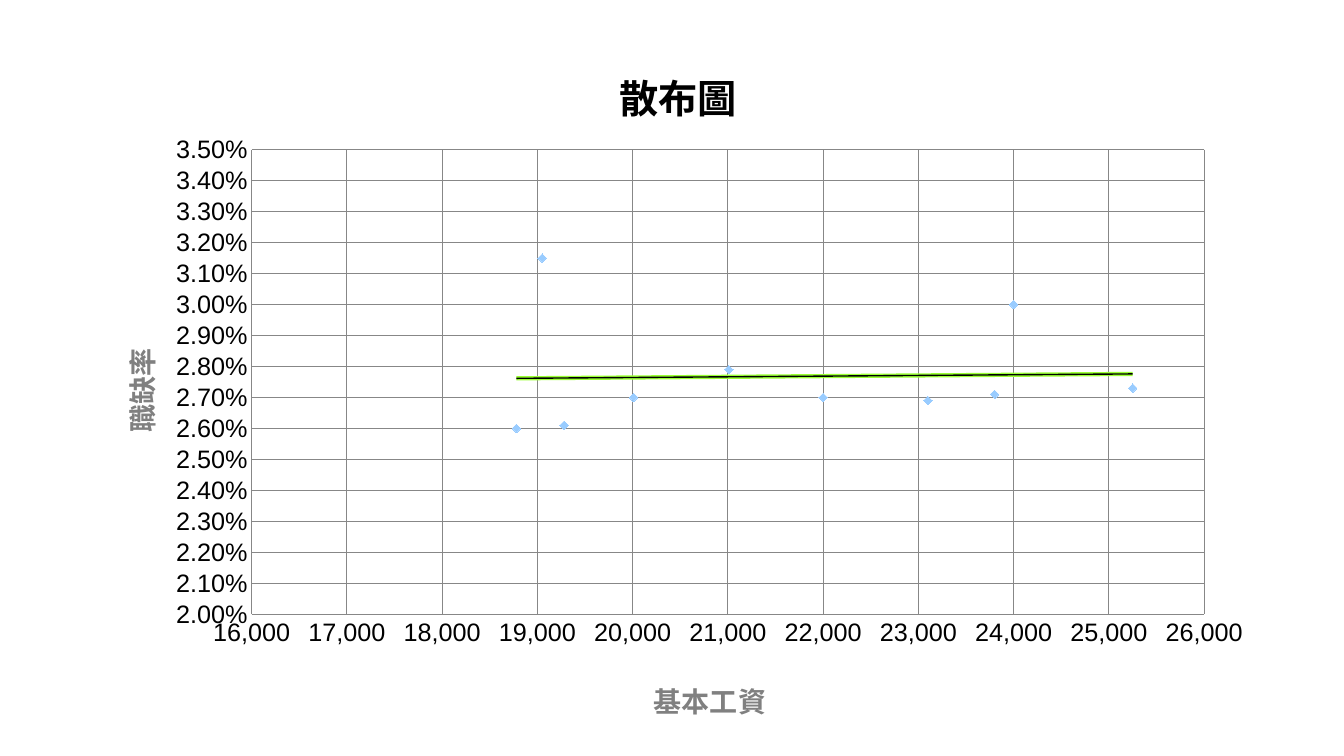
from lxml import etree
from pptx import Presentation
from pptx.chart.data import XyChartData
from pptx.dml.color import RGBColor
from pptx.enum.chart import XL_CHART_TYPE as ChartType, XL_MARKER_STYLE as Marker
from pptx.enum.chart import XL_TICK_MARK as TickMark
from pptx.enum.shapes import MSO_SHAPE as Shape
from pptx.oxml import parse_xml
from pptx.oxml.ns import nsdecls, qn
from pptx.util import Inches, Pt

WIDTH, HEIGHT = 13.33, 7.5
FONT = "Arial"
WAGES = [18780, 19050, 19280, 20010, 21010, 22000, 23100, 23800, 24000, 25250]
VACANCY_RATES = [0.026, 0.0315, 0.0261, 0.027, 0.0279,
                 0.027, 0.0269, 0.0271, 0.03, 0.0273]


def color(hex_code):
    return RGBColor.from_string(hex_code)


def style_font(font, size, hex_code="000000", bold=False):
    font.name, font.size, font.bold = FONT, Pt(size), bold
    font.color.rgb = color(hex_code)


def write_title(owner, text, **style):
    """Write a chart or axis title and format its text."""
    frame = owner.text_frame
    frame.text = text
    style_font(frame.paragraphs[0].runs[0].font, **style)


def place(element, x, y, w=None, h=None):
    """Place a title or the plot area by shares of the chart's size."""
    for old in element.findall(qn("c:layout")):
        element.remove(old)
    layout = parse_xml(f'<c:layout {nsdecls("c")}><c:manualLayout/></c:layout>')
    manual = layout[0]
    parts = {"xMode": "edge", "yMode": "edge", "x": x, "y": y}
    if w is not None:
        parts = {"layoutTarget": "inner", **parts, "w": w, "h": h}
    for tag, value in parts.items():
        etree.SubElement(manual, qn(f"c:{tag}")).set("val", str(value))
    text = element.find(qn("c:tx"))
    if text is None:
        element.insert(0, layout)
    else:
        text.addnext(layout)


def add_trend(series, hex_code, width):
    """Add a linear trend line before the series' values."""
    trend = parse_xml(
        f'<c:trendline {nsdecls("c", "a")}><c:spPr><a:ln w="{Pt(width)}">'
        f'<a:solidFill><a:srgbClr val="{hex_code}"/></a:solidFill></a:ln></c:spPr>'
        '<c:trendlineType val="linear"/><c:dispRSqr val="0"/><c:dispEq val="0"/>'
        '</c:trendline>')
    series._element.find(qn("c:xVal")).addprevious(trend)


def format_axis(axis, title, spot, low, high, step, number_format):
    axis.minimum_scale, axis.maximum_scale, axis.major_unit = low, high, step
    axis.major_tick_mark = axis.minor_tick_mark = TickMark.NONE
    axis.has_major_gridlines = True
    for line in (axis.format.line, axis.major_gridlines.format.line):
        line.color.rgb, line.width = color("878787"), Pt(0.75)
    axis.tick_labels.number_format = number_format
    axis.tick_labels.number_format_is_linked = False
    style_font(axis.tick_labels.font, 18)
    write_title(axis.axis_title, title, size=20, hex_code="808080", bold=True)
    place(axis.axis_title._element, *spot)


def add_backdrop(page, left, top, width, height):
    panel = page.shapes.add_shape(Shape.RECTANGLE, left, top, width, height)
    panel.shadow.inherit = False
    panel.fill.solid()
    panel.fill.fore_color.rgb = color("FFFFFF")
    fill = panel._element.spPr.find(qn("a:solidFill"))
    etree.SubElement(fill[0], qn("a:alpha")).set("val", "90000")
    panel.line.fill.background()


def add_scatter(page, left, top, width, height):
    data = XyChartData()
    points = data.add_series("Series 1")
    for wage, rate in zip(WAGES, VACANCY_RATES):
        points.add_data_point(wage, rate)
    chart = page.shapes.add_chart(
        ChartType.XY_SCATTER, left, top, width, height, data).chart
    style_font(chart.font, 10)
    chart.has_legend = False

    # Title and axes
    chart.has_title = True
    write_title(chart.chart_title, "散布圖", size=28, bold=True)
    place(chart.chart_title._element, 0.45, 0.05)
    format_axis(chart.category_axis, "基本工資", (0.48, 0.91),
                16000, 26000, 1000, "#,##0")
    format_axis(chart.value_axis, "職缺率", (0.03, 0.45),
                0.02, 0.035, 0.001, "0.00%")
    place(chart._chartSpace.chart.plotArea, 0.147, 0.18, 0.8, 0.65)

    # Points and trend
    plot = chart.plots[0]
    plot.vary_by_categories = False
    series = plot.series[0]
    series.smooth = False
    series.format.line.fill.background()
    marker = series.marker
    marker.style, marker.size = Marker.DIAMOND, 6
    marker.format.fill.solid()
    marker.format.fill.fore_color.rgb = color("99CCFF")
    marker.format.line.fill.background()
    add_trend(series, "99FF33", 3)
    add_trend(series, "000000", 1)


def main():
    deck = Presentation()
    deck.slide_width, deck.slide_height = Inches(WIDTH), Inches(HEIGHT)
    page = deck.slides.add_slide(deck.slide_layouts[6])
    add_backdrop(page, 0, 0, deck.slide_width, deck.slide_height)
    add_scatter(page, Inches(0.76), Inches(0.21), Inches(11.81), Inches(7.09))
    deck.save("out.pptx")


if __name__ == "__main__":
    main()
